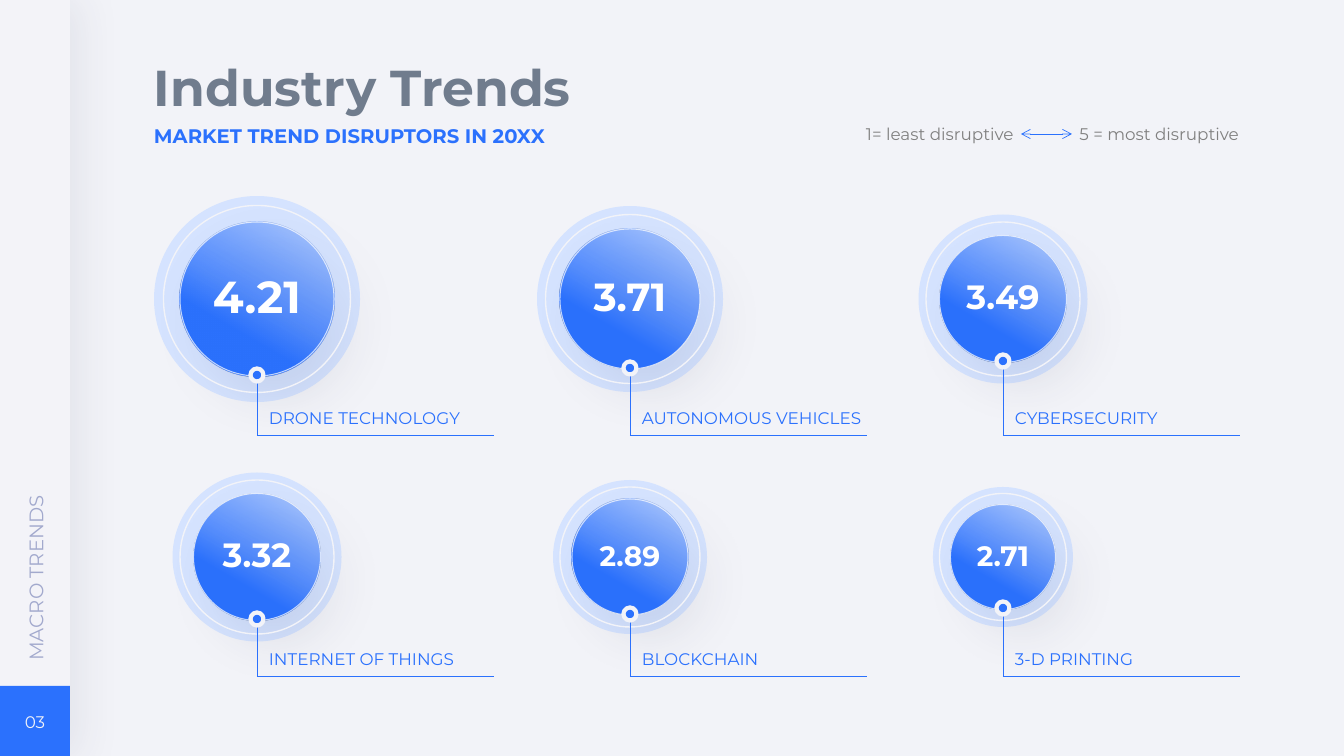
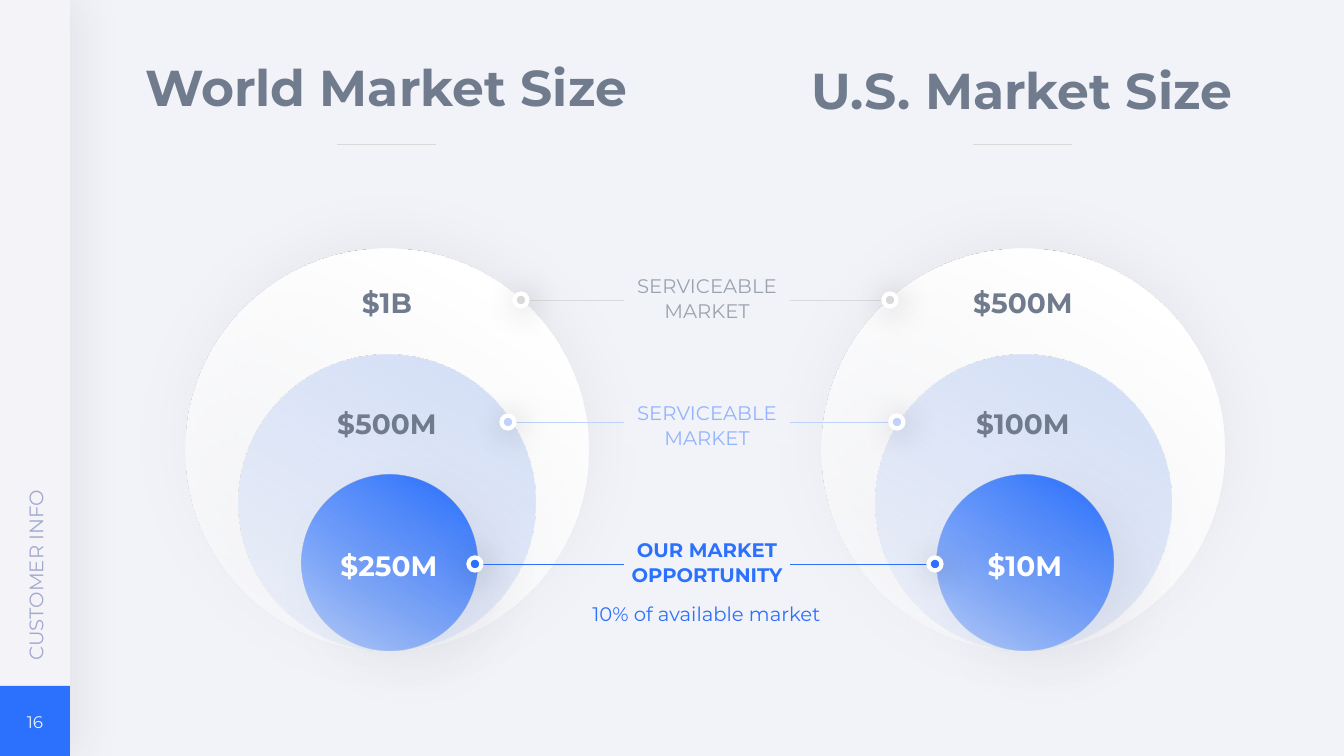
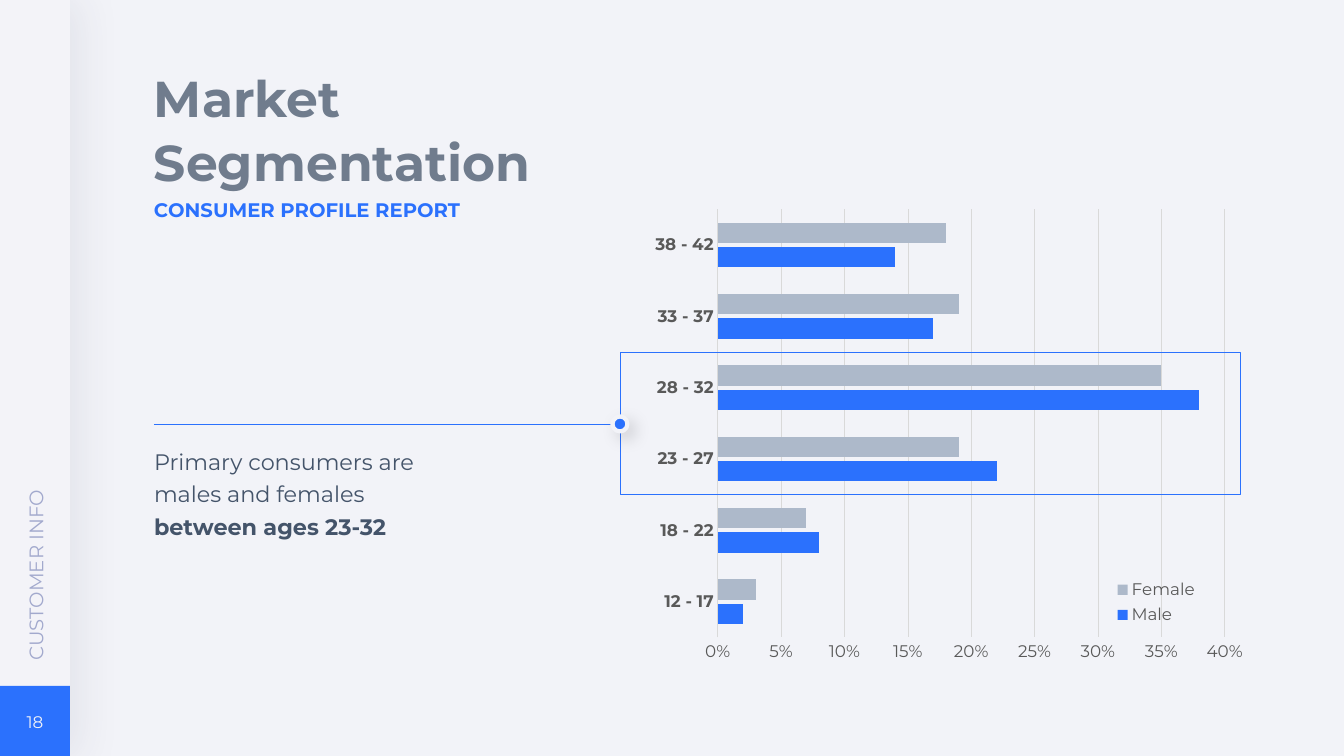
"""Build three market slides: industry trends, market size and segmentation."""
from lxml.etree import SubElement
from pptx import Presentation
from pptx.chart.data import CategoryChartData
from pptx.dml.color import RGBColor
from pptx.enum.chart import XL_CHART_TYPE, XL_LEGEND_POSITION, XL_TICK_MARK
from pptx.enum.shapes import MSO_CONNECTOR, MSO_SHAPE
from pptx.enum.text import MSO_ANCHOR, PP_ALIGN
from pptx.oxml.ns import qn
from pptx.oxml.xmlchemy import OxmlElement
from pptx.util import Pt

FONT = "Montserrat"
COLORS = {
    "paper": "F2F3F8", "rail": "F3F3F8", "blue": "2B71FD", "halo": "D5E3FF",
    "title": "707C8D", "section": "A2A9CD", "scale": "808080", "white": "FFFFFF",
    "rule": "D9D9D9", "pale": "BFD2F9", "mist": "D2DEF7", "sky": "92B3FE",
    "gray": "9BA3B1", "body": "44546A", "axis": "595959", "steel": "ADB9CA",
    "navy": "2B3150", "black": "000000",
}
SHADOWS = {
    "rail": ("navy", 7, 30, 7, 0),
    "core": ("navy", 10, 35, 20, 45),
    "disc": ("black", 5, 48.3, 3, 270),
    "pin": ("black", 26, 22.2, 3, 45),
    "marker": ("black", 15, 12, 6, 45),
}
GRADIENTS = {
    "core": [(10, "blue", 30), (51, "blue", 76), (68, "blue", 100)],
    "total": [(17, "white", 100), (86, "white", 39)],
    "middle": [(0, "mist", 100), (36, "mist", 73), (86, "mist", 36)],
    "target": [(4, "blue", 100), (31, "blue", 76), (95, "blue", 30)],
}
GRADIENT_ANGLE = 120

TREND_COLUMNS = [257, 630, 1003]
TREND_ROWS = [
    (299, 435, [("4.21", 32, 206, "DRONE TECHNOLOGY"),
                ("3.71", 28, 186, "AUTONOMOUS VEHICLES"),
                ("3.49", 24, 169, "CYBERSECURITY")]),
    (557, 676, [("3.32", 24, 169, "INTERNET OF THINGS"),
                ("2.89", 20, 154, "BLOCKCHAIN"),
                ("2.71", 20, 140, "3-D PRINTING")]),
]
RING_RATIO, CORE_RATIO = 0.91, 0.75

MARKETS = [
    (0, "World Market Size", 58, ["$1B", "$500M", "$250M"]),
    (636, "U.S. Market Size", 61, ["$500M", "$100M", "$10M"]),
]
MARKET_FLOOR = 651
MARKET_LAYERS = [
    (387, 402, "total", "disc", "title", 280),
    (387, 296, "middle", None, "title", 401),
    (389, 176, "target", "core", "white", 543),
]
MARKET_LINKS = [
    (521, 890, 300, "rule", "SERVICEABLE MARKET", 278, "gray", False),
    (508, 897, 422, "pale", "SERVICEABLE MARKET", 405, "sky", False),
    (475, 935, 564, "blue", "OUR MARKET OPPORTUNITY", 542, "blue", True),
]

AGES = ["12 - 17", "18 - 22", "23 - 27", "28 - 32", "33 - 37", "38 - 42"]
SHARES = [
    ("Male", "blue", [0.02, 0.08, 0.22, 0.38, 0.17, 0.14]),
    ("Female", "steel", [0.03, 0.07, 0.19, 0.35, 0.19, 0.18]),
]


def px(length):
    return round(length * 914400 / 100.8)


def rgb(name):
    return RGBColor.from_string(COLORS[name])


def add_color(parent, name, alpha):
    color = SubElement(parent, qn("a:srgbClr"), val=COLORS[name])
    SubElement(color, qn("a:alpha"), val=str(alpha * 1000))


def write(slide, text, left, top, width, height, size=14, color="blue", bold=False,
          align=PP_ALIGN.LEFT, anchor=MSO_ANCHOR.MIDDLE, spacing=0.9, fill=None, rotation=0):
    box = slide.shapes.add_textbox(px(left), px(top), px(width), px(height))
    box.rotation = rotation
    if fill:
        box.fill.solid()
        box.fill.fore_color.rgb = rgb(fill)
    frame = box.text_frame
    frame.word_wrap = True
    frame.vertical_anchor = anchor
    frame.margin_left = frame.margin_right = 0
    frame.margin_top = frame.margin_bottom = px(5)
    para = frame.paragraphs[0]
    para.alignment = align
    para.line_spacing = spacing
    for words, strong in [(text, bold)] if isinstance(text, str) else text:
        span = para.add_run()
        span.text = words
        span.font.name = FONT
        span.font.size = Pt(size)
        span.font.bold = strong
        span.font.color.rgb = rgb(color)


def write_title(slide, text, left, top, width, **style):
    write(slide, text, left, top, width, 84, size=36, color="title", bold=True,
          anchor=MSO_ANCHOR.TOP, **style)


def draw(slide, kind, left, top, width, height, fill=None, gradient=None,
         line=None, weight=1, line_alpha=100, shadow=None):
    shape = slide.shapes.add_shape(kind, px(left), px(top), px(width), px(height))
    properties = shape.element.spPr
    shape.fill.background()
    if fill:
        shape.fill.solid()
        shape.fill.fore_color.rgb = rgb(fill)
    if gradient:
        grad = OxmlElement("a:gradFill")
        stops = SubElement(grad, qn("a:gsLst"))
        for position, color, alpha in GRADIENTS[gradient]:
            stop = SubElement(stops, qn("a:gs"), pos=str(position * 1000))
            add_color(stop, color, alpha)
        SubElement(grad, qn("a:lin"), ang=str(GRADIENT_ANGLE * 60000), scaled="0")
        properties.replace(properties.find(qn("a:noFill")), grad)
    shape.line.fill.background()
    if line:
        shape.line.color.rgb = rgb(line)
        shape.line.width = Pt(weight)
        color = properties.find(qn("a:ln")).find(".//" + qn("a:srgbClr"))
        SubElement(color, qn("a:alpha"), val=str(line_alpha * 1000))
    shape.shadow.inherit = False
    if shadow:
        color, alpha, blur, distance, angle = SHADOWS[shadow]
        outer = SubElement(properties.find(qn("a:effectLst")), qn("a:outerShdw"),
                           blurRad=str(Pt(blur)), dist=str(Pt(distance)),
                           dir=str(angle * 60000), algn="ctr", rotWithShape="0")
        add_color(outer, color, alpha)


def draw_circle(slide, center_x, center_y, size, **style):
    draw(slide, MSO_SHAPE.OVAL, center_x - size / 2, center_y - size / 2, size, size, **style)


def connect(slide, start, end, color="blue", arrows=False):
    line = slide.shapes.add_connector(MSO_CONNECTOR.STRAIGHT, *map(px, start + end))
    line.line.color.rgb = rgb(color)
    line.line.width = Pt(0.5)
    properties = line.element.spPr
    if arrows:
        for tip in ("a:headEnd", "a:tailEnd"):
            SubElement(properties.find(qn("a:ln")), qn(tip), type="arrow")
    SubElement(properties, qn("a:effectLst"))


def start_slide(deck, number, section):
    slide = deck.slides.add_slide(deck.slide_layouts[6])
    slide.background.fill.solid()
    slide.background.fill.fore_color.rgb = rgb("paper")
    draw(slide, MSO_SHAPE.RECTANGLE, 0, 0, 70, 756, fill="rail", shadow="rail")
    draw(slide, MSO_SHAPE.RECTANGLE, 0, 686, 70, 70, fill="blue")
    write(slide, number, 10, 705, 50, 33, size=12, color="paper",
          align=PP_ALIGN.CENTER, spacing=1.0)
    write(slide, section, -156, 449, 383, 41, color="section", spacing=1.0, rotation=270)
    return slide


def draw_trend(slide, center_x, center_y, baseline, trend):
    value, size, halo, label = trend
    core = round(halo * CORE_RATIO)
    pin_y = center_y + core // 2 - 1
    draw_circle(slide, center_x, center_y, halo, fill="halo")
    draw_circle(slide, center_x, center_y, core, gradient="core", line="white",
                weight=0, line_alpha=70, shadow="core")
    draw_circle(slide, center_x, center_y, round(halo * RING_RATIO), line="paper")
    write(slide, value, center_x - 74, center_y - 42, 148, 84, size=size, color="white",
          bold=True, align=PP_ALIGN.CENTER)
    connect(slide, (center_x, baseline), (center_x + 237, baseline))
    connect(slide, (center_x, pin_y), (center_x, baseline))
    draw_circle(slide, center_x, pin_y, 13, fill="blue", line="paper", weight=3)
    write(slide, label, center_x + 12, baseline - 27, 232, 23, size=12)


def build_trends(deck):
    slide = start_slide(deck, "03", "MACRO TRENDS")
    write_title(slide, "Industry Trends", 154, 58, 699)
    write(slide, "MARKET TREND DISRUPTORS IN 20XX", 154, 117, 514, 41, bold=True)
    write(slide, "1= least disruptive", 866, 115, 154, 41, size=12, color="scale")
    write(slide, "5 = most disruptive", 1070, 115, 169, 41, size=12, color="scale",
          align=PP_ALIGN.RIGHT)
    connect(slide, (1021, 134), (1072, 134), arrows=True)
    for center_y, baseline, trends in TREND_ROWS:
        for center_x, trend in zip(TREND_COLUMNS, trends):
            draw_trend(slide, center_x, center_y, baseline, trend)


def build_market_size(deck):
    slide = start_slide(deck, "16", "CUSTOMER INFO")
    for shift, title, title_top, amounts in MARKETS:
        write_title(slide, title, shift + 127, title_top, 518, align=PP_ALIGN.CENTER)
        connect(slide, (shift + 337, 144), (shift + 436, 144), color="rule")
        for layer, amount in zip(MARKET_LAYERS, amounts):
            center_x, size, gradient, shadow, color, text_top = layer
            draw_circle(slide, shift + center_x, MARKET_FLOOR - size / 2, size,
                        gradient=gradient, shadow=shadow)
            write(slide, amount, shift + center_x - 97, text_top, 194, 44, size=20,
                  color=color, bold=True, align=PP_ALIGN.CENTER, spacing=1.0)
    label_style = dict(fill="paper", align=PP_ALIGN.CENTER, spacing=Pt(18))
    for left, right, line_y, color, label, label_top, label_color, bold in MARKET_LINKS:
        connect(slide, (left, line_y), (right, line_y), color=color)
        for pin_x in (left, right):
            draw_circle(slide, pin_x, line_y, 13, fill=color, line="white", weight=3,
                        shadow="pin")
        write(slide, label, 624, label_top, 166, 38, color=label_color, bold=bold,
              **label_style)
    write(slide, "10% of available market", 581, 594, 251, 38, **label_style)


def make_layout(left, top, width, height, inner=False):
    layout = OxmlElement("c:layout")
    manual = SubElement(layout, qn("c:manualLayout"))
    if inner:
        SubElement(manual, qn("c:layoutTarget"), val="inner")
    for axis in "xy":
        SubElement(manual, qn(f"c:{axis}Mode"), val="edge")
    for key, part in zip("xywh", (left, top, width, height)):
        SubElement(manual, qn(f"c:{key}"), val=str(part))
    return layout


def style_font(font, bold=False):
    font.name = FONT
    font.size = Pt(12)
    font.bold = bold
    font.color.rgb = rgb("axis")


def add_age_chart(slide):
    data = CategoryChartData(number_format="0%")
    data.categories = AGES
    for name, color, values in SHARES:
        data.add_series(name, values)
    chart = slide.shapes.add_chart(XL_CHART_TYPE.BAR_CLUSTERED, px(631), px(191),
                                   px(629), px(556), data).chart
    chart.has_title = False
    style_font(chart.font)
    plot = chart.plots[0]
    plot.gap_width = 130
    plot.overlap = -20
    plot.vary_by_categories = False
    for series, (name, color, values) in zip(plot.series, SHARES):
        series.format.fill.solid()
        series.format.fill.fore_color.rgb = rgb(color)
    ages, shares = chart.category_axis, chart.value_axis
    for axis in (ages, shares):
        axis.major_tick_mark = axis.minor_tick_mark = XL_TICK_MARK.NONE
        style_font(axis.tick_labels.font, bold=axis is ages)
    ages.format.line.color.rgb = rgb("rule")
    ages.format.line.width = Pt(0.75)
    shares.format.line.fill.background()
    shares.minimum_scale, shares.maximum_scale, shares.major_unit = 0, 0.4, 0.05
    shares.tick_labels.number_format = "0%"
    shares.tick_labels.number_format_is_linked = False
    shares.major_gridlines.format.line.color.rgb = rgb("rule")
    shares.major_gridlines.format.line.width = Pt(0.5)
    chart.has_legend = True
    legend = chart.legend
    legend.position = XL_LEGEND_POSITION.BOTTOM
    legend.include_in_layout = False
    style_font(legend.font)
    position = chart.element.find(".//" + qn("c:legendPos"))
    position.addnext(make_layout(0.76, 0.69, 0.15, 0.1))
    area = chart.element.find(".//" + qn("c:plotArea"))
    for layout in area.findall(qn("c:layout")):
        area.remove(layout)
    area.insert(0, make_layout(0.138, 0.033, 0.806, 0.77, inner=True))


def build_segmentation(deck):
    slide = start_slide(deck, "18", "CUSTOMER INFO")
    write_title(slide, "Market Segmentation", 154, 58, 557, spacing=Pt(46))
    write(slide, "CONSUMER PROFILE REPORT", 154, 191, 514, 41, bold=True)
    add_age_chart(slide)
    connect(slide, (154, 424), (613, 424))
    draw(slide, MSO_SHAPE.RECTANGLE, 620, 352, 620, 142, line="blue", weight=0.5)
    draw_circle(slide, 620, 424, 15, fill="blue", line="paper", weight=3, shadow="marker")
    write(slide, [("Primary consumers are males and females ", False),
                  ("between ages 23-32", True)],
          154, 438, 313, 114, size=16, color="body", anchor=MSO_ANCHOR.TOP, spacing=1.2)


def main():
    deck = Presentation()
    deck.slide_width, deck.slide_height = px(1344), px(756)
    build_trends(deck)
    build_market_size(deck)
    build_segmentation(deck)
    deck.save("out.pptx")


if __name__ == "__main__":
    main()
